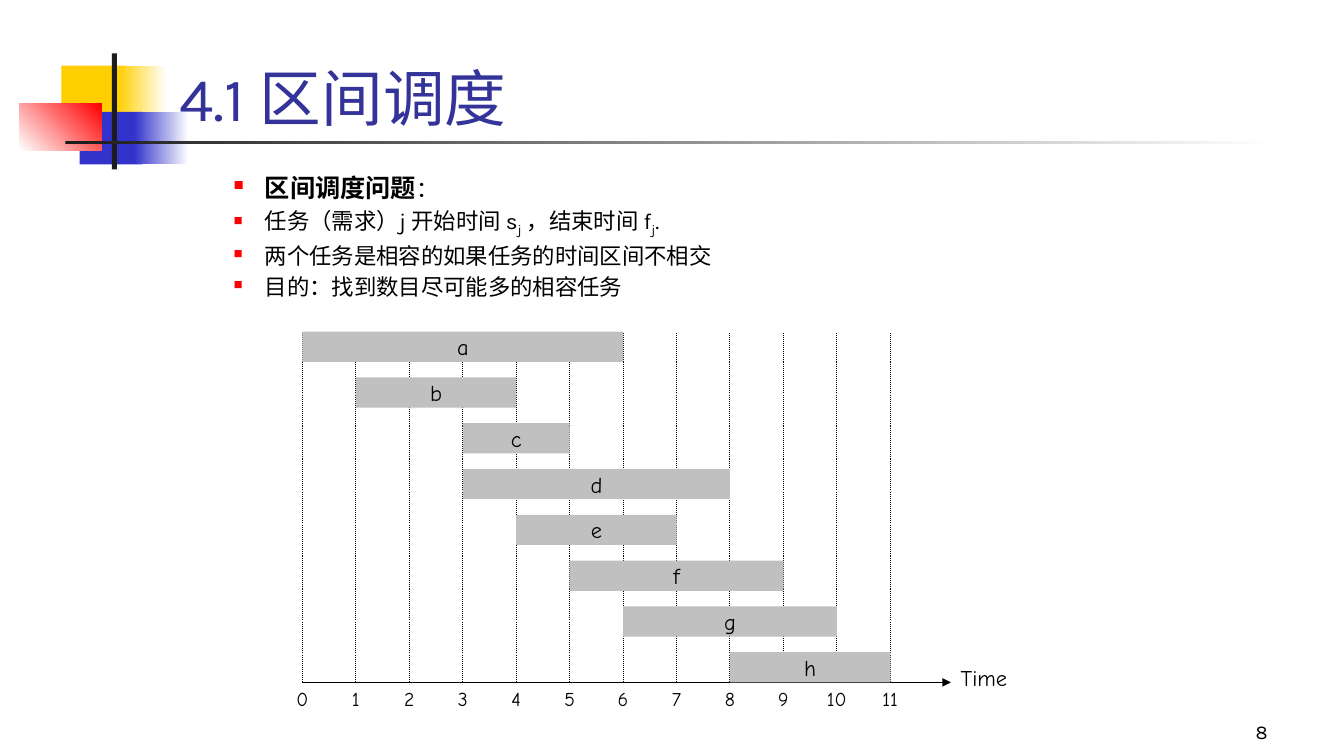
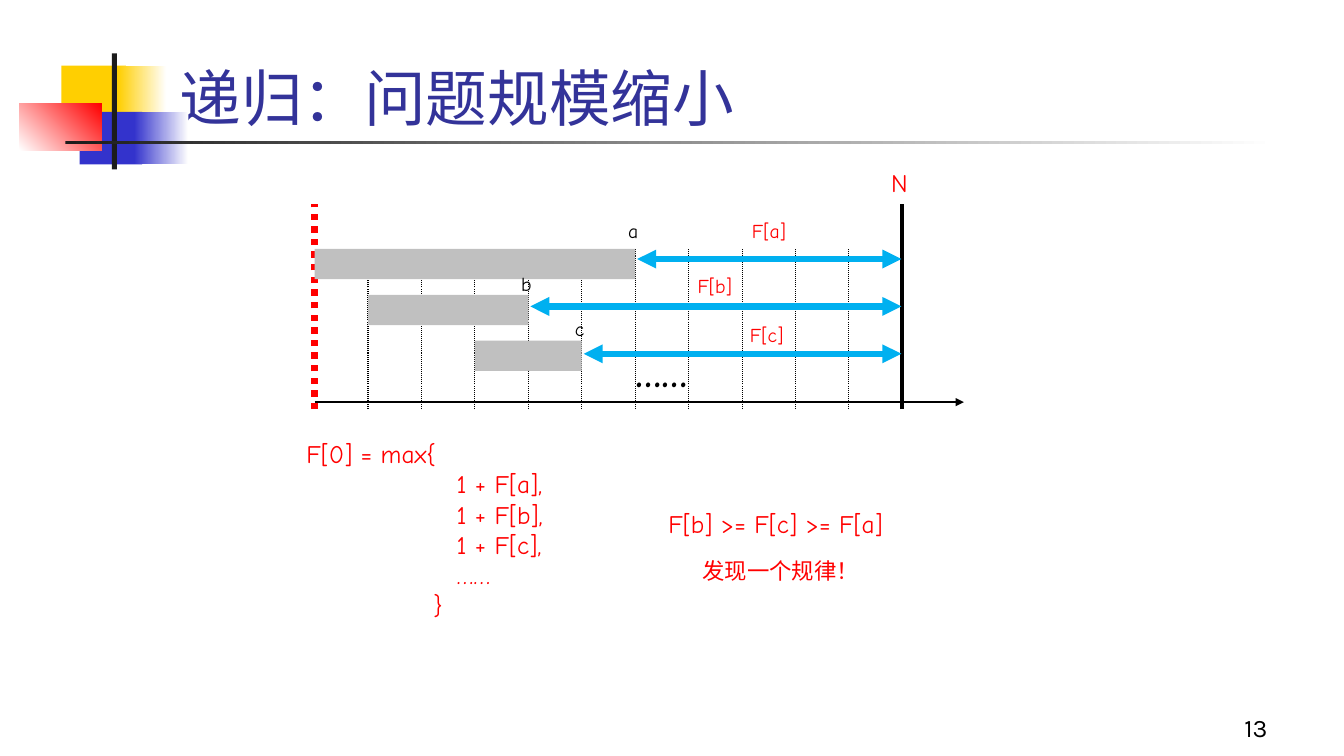
from lxml.etree import SubElement
from pptx import Presentation
from pptx.dml.color import RGBColor
from pptx.enum.dml import MSO_LINE
from pptx.enum.shapes import MSO_CONNECTOR, MSO_SHAPE
from pptx.enum.text import MSO_ANCHOR as Anchor, MSO_AUTO_SIZE, PP_ALIGN as Align
from pptx.oxml.ns import qn
from pptx.util import Inches, Pt

COLORS = {
    "black": "000000", "white": "FFFFFF", "title": "333399", "red": "FF0000",
    "yellow": "FFCF01", "blue": "3333CC", "ink": "1C1C1C", "bar": "C0C0C0",
    "arrow": "00B0F0",
}
HEADING_FONT, DIAGRAM_FONT = "Karla", "Comic Neue"
UNIT = 0.53          # width of one time step
BAR_HEIGHT = 0.3

# Left, top, width, height, first colour, second colour, angle
DECORATIONS = [
    (0.61, 0.65, 0.64, 0.52, "yellow", None, 0),
    (1.17, 0.65, 0.48, 0.52, "yellow", "white", 0),
    (0.79, 1.11, 0.62, 0.52, "blue", None, 0),
    (1.33, 1.11, 0.54, 0.52, "blue", "white", 0),
    (0.19, 1.03, 0.82, 0.46, "white", "red", 45),
    (1.11, 0.53, 0.05, 1.15, "ink", None, 0),
    (0.65, 1.4, 12, 0.03, "ink", "white", 0),
]


def rgb(name):
    return RGBColor.from_string(COLORS[name])


def add_run(paragraph, text, size, color="black", font=DIAGRAM_FONT, bold=False):
    run = paragraph.add_run()
    run.text = text
    run.font.name, run.font.size, run.font.bold = font, Pt(size), bold
    run.font.color.rgb = rgb(color)
    return run


def add_text_box(slide, left, top, width, height, anchor=Anchor.TOP):
    box = slide.shapes.add_textbox(*map(Inches, (left, top, width, height)))
    box.text_frame.word_wrap = True
    box.text_frame.vertical_anchor = anchor
    return box.text_frame


def add_label(slide, box, text, size, color="black", align=Align.LEFT,
              font=DIAGRAM_FONT, bold=False, anchor=Anchor.TOP):
    paragraph = add_text_box(slide, *box, anchor).paragraphs[0]
    paragraph.alignment = align
    add_run(paragraph, text, size, color, font, bold)


def add_rectangle(slide, left, top, width, height, color, end_color=None, angle=0):
    shape = slide.shapes.add_shape(
        MSO_SHAPE.RECTANGLE, *map(Inches, (left, top, width, height)))
    shape.shadow.inherit = False
    shape.line.fill.background()
    if end_color:
        shape.fill.gradient()
        shape.fill.gradient_angle = angle
        for stop, name in zip(shape.fill.gradient_stops, (color, end_color)):
            stop.color.rgb = rgb(name)
    else:
        shape.fill.solid()
        shape.fill.fore_color.rgb = rgb(color)
    return shape


def add_line(slide, start, end, width, color="black", dotted=False, ends=()):
    line = slide.shapes.add_connector(
        MSO_CONNECTOR.STRAIGHT, *map(Inches, (*start, *end)))
    line.line.width = Pt(width)
    line.line.color.rgb = rgb(color)
    if dotted:
        line.line.dash_style = MSO_LINE.ROUND_DOT
    outline = line.line._get_or_add_ln()
    for name in ends:
        SubElement(outline, qn(f"a:{name}End")).set("type", "triangle")
    SubElement(line._element.spPr, qn("a:effectLst"))
    return line


def add_base_slide(presentation, title_text, number, number_size):
    """Title slide frame: corner blocks, rule, title and page number."""
    slide = presentation.slides.add_slide(presentation.slide_layouts[5])
    for decoration in DECORATIONS:
        add_rectangle(slide, *decoration)
    title = slide.shapes.title
    title.left, title.top, title.width, title.height = map(
        Inches, (1.68, 0.13, 11.36, 1.25))
    frame = title.text_frame
    frame.vertical_anchor = Anchor.BOTTOM
    frame.auto_size = MSO_AUTO_SIZE.NONE
    frame.paragraphs[0].alignment = Align.LEFT
    add_run(frame.paragraphs[0], title_text, 44, "title", HEADING_FONT)
    add_label(slide, (9.89, 6.92, 2.78, 0.5), number, number_size,
              align=Align.RIGHT, font=HEADING_FONT, anchor=Anchor.BOTTOM)
    return slide


def add_bullet(paragraph):
    properties = paragraph._p.get_or_add_pPr()
    properties.set("marL", str(Inches(0.81)))
    properties.set("indent", str(Inches(-0.31)))
    color = SubElement(properties, qn("a:buClr"))
    SubElement(color, qn("a:srgbClr")).set("val", COLORS["red"])
    SubElement(properties, qn("a:buSzPct")).set("val", "55000")
    SubElement(properties, qn("a:buChar")).set("char", "■")


def add_bullets(slide, box, items):
    """Each item is a list of (text, size, bold, subscript) runs."""
    frame = add_text_box(slide, *box)
    for index, item in enumerate(items):
        paragraph = frame.add_paragraph() if index else frame.paragraphs[0]
        if index:
            paragraph.space_before = Pt(3.2)
        add_bullet(paragraph)
        for text, size, bold, subscript in item:
            run = add_run(paragraph, text, size, font=HEADING_FONT, bold=bold)
            if subscript:
                run._r.get_or_add_rPr().set("baseline", "-25000")


def add_grid_lines(slide, left, top, bottom, steps):
    for step in steps:
        x = left + step * UNIT
        add_line(slide, (x, bottom), (x, top), 0.75, dotted=True)


def add_bar(slide, left, top, start, end):
    return add_rectangle(slide, left + start * UNIT, top,
                         (end - start) * UNIT, BAR_HEIGHT, "bar")


def add_schedule(slide, left, top, height, jobs, last_step):
    """Job bars over a time axis; jobs are (name, start, end)."""
    bottom = top + height
    axis_end = left + 6.43
    add_grid_lines(slide, left, top, bottom, range(last_step + 1))
    add_line(slide, (left, bottom), (axis_end, bottom), 1.25, ends=["tail"])
    add_label(slide, (axis_end, bottom - 0.23, 0.83, 0.37), "Time", 16)
    for step in range(last_step + 1):
        add_label(slide, (left + step * UNIT - 0.23, bottom, 0.46, 0.34),
                  str(step), 14, align=Align.CENTER)
    pitch = (height - BAR_HEIGHT) / (len(jobs) - 1)
    for row, (name, start, end) in enumerate(jobs):
        frame = add_bar(slide, left, top + row * pitch, start, end).text_frame
        frame.word_wrap = False
        frame.vertical_anchor = Anchor.MIDDLE
        frame.paragraphs[0].alignment = Align.CENTER
        add_run(frame.paragraphs[0], name, 16)


def add_subproblems(slide, left, top, height, jobs):
    """Bars with the remaining span; jobs are (name, start, end, name top, span label)."""
    bottom = top + height
    limit = left + 11 * UNIT
    bars_top = top + 0.45
    axis = bottom - 0.07
    add_line(slide, (left, axis), (left + 6.44, axis), 1, ends=["tail"])
    add_grid_lines(slide, left, bars_top, bottom, range(1, 11))
    add_line(slide, (left, bottom), (left, top), 4.5, "red", dotted=True)
    add_line(slide, (limit, bottom), (limit, top), 3)
    add_label(slide, (limit - 0.21, top - 0.41, 0.41, 0.4), "N", 18, "red")
    for row, (name, start, end, name_top, span_box) in enumerate(jobs):
        add_bar(slide, left, bars_top + row * 0.455, start, end)
        bar_end = left + end * UNIT
        arrow_y = top + 0.55 + row * 0.47
        add_line(slide, (bar_end + 0.02, arrow_y), (limit - 0.01, arrow_y),
                 4.5, "arrow", ends=["head", "tail"])
        add_label(slide, (bar_end - 0.27, top + name_top, 0.5, 0.34),
                  name, 14, align=Align.CENTER)
        span_left, span_top = span_box
        add_label(slide, (left + span_left, top + span_top, 0.7, 0.34),
                  f"F[{name}]", 14, "red")
    add_label(slide, (left + 3.08, top + 1.39, 1, 0.57), "……", 28, bold=True)


def add_recurrence(slide, box, lines):
    """Formula lines given as (text, indent in inches)."""
    frame = add_text_box(slide, *box)
    for index, (text, indent) in enumerate(lines):
        paragraph = frame.add_paragraph() if index else frame.paragraphs[0]
        paragraph._p.get_or_add_pPr().set("marL", str(Inches(indent)))
        add_run(paragraph, text, 18, "red")


def build_interval_slide(presentation):
    slide = add_base_slide(presentation, "4.1 区间调度", "8", 14)
    add_bullets(slide, (1.72, 1.66, 11.33, 1.5), [
        [("区间调度问题", 18, True, False), ("：", 16, False, False)],
        [("任务（需求）j 开始时间 s", 16, False, False), ("j", 16, False, True),
         (" ，结束时间 f", 16, False, False), ("j", 16, False, True),
         (".", 16, False, False)],
        [("两个任务是相容的如果任务的时间区间不相交", 16, False, False)],
        [("目的：找到数目尽可能多的相容任务", 16, False, False)],
    ])
    add_schedule(slide, 3, 3.29, 3.48, [
        ("a", 0, 6), ("b", 1, 4), ("c", 3, 5), ("d", 3, 8),
        ("e", 4, 7), ("f", 5, 9), ("g", 6, 10), ("h", 8, 11),
    ], 11)


def build_recursion_slide(presentation):
    slide = add_base_slide(presentation, "递归：问题规模缩小", "13", 18)
    add_subproblems(slide, 3.12, 2.02, 2.04, [
        ("a", 0, 6, 0.1, (4.24, 0.1)),
        ("b", 1, 4, 0.63, (3.7, 0.65)),
        ("c", 3, 5, 1.07, (4.22, 1.13)),
    ])
    add_recurrence(slide, (2.94, 4.3, 2.72, 1.92), [
        ("F[0] = max{", 0), ("1 + F[a],", 1.49), ("1 + F[b],", 1.49),
        ("1 + F[c],", 1.49), ("……", 1.49), ("}", 1.26),
    ])
    # Finding
    add_label(slide, (6.53, 4.99, 2.5, 0.4), "F[b] >= F[c] >= F[a]", 18, "red")
    add_label(slide, (6.87, 5.48, 2, 0.37), "发现一个规律！", 16, "red")


def main():
    presentation = Presentation()
    presentation.slide_width, presentation.slide_height = Inches(13.33), Inches(7.5)
    build_interval_slide(presentation)
    build_recursion_slide(presentation)
    presentation.save("out.pptx")


if __name__ == "__main__":
    main()
